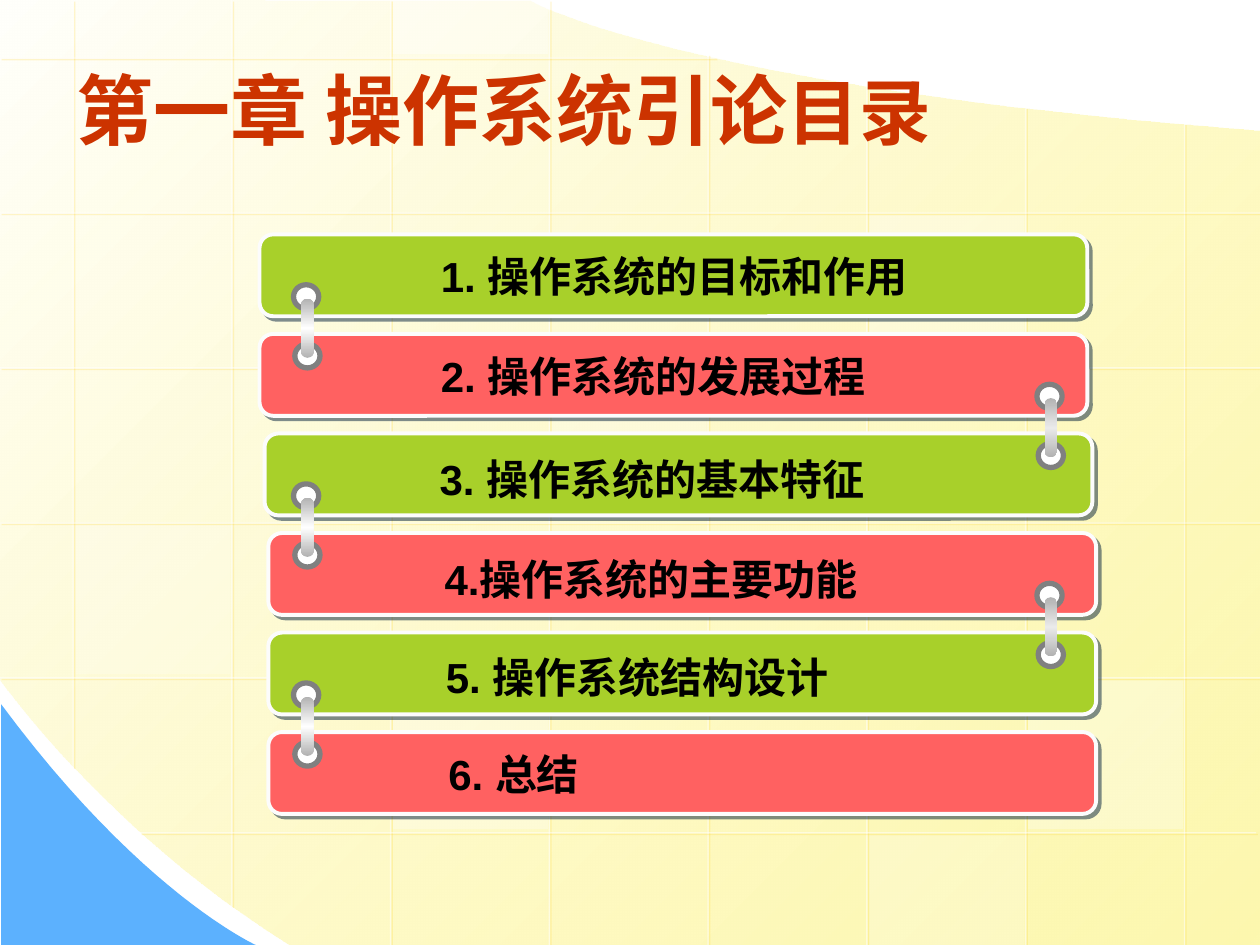
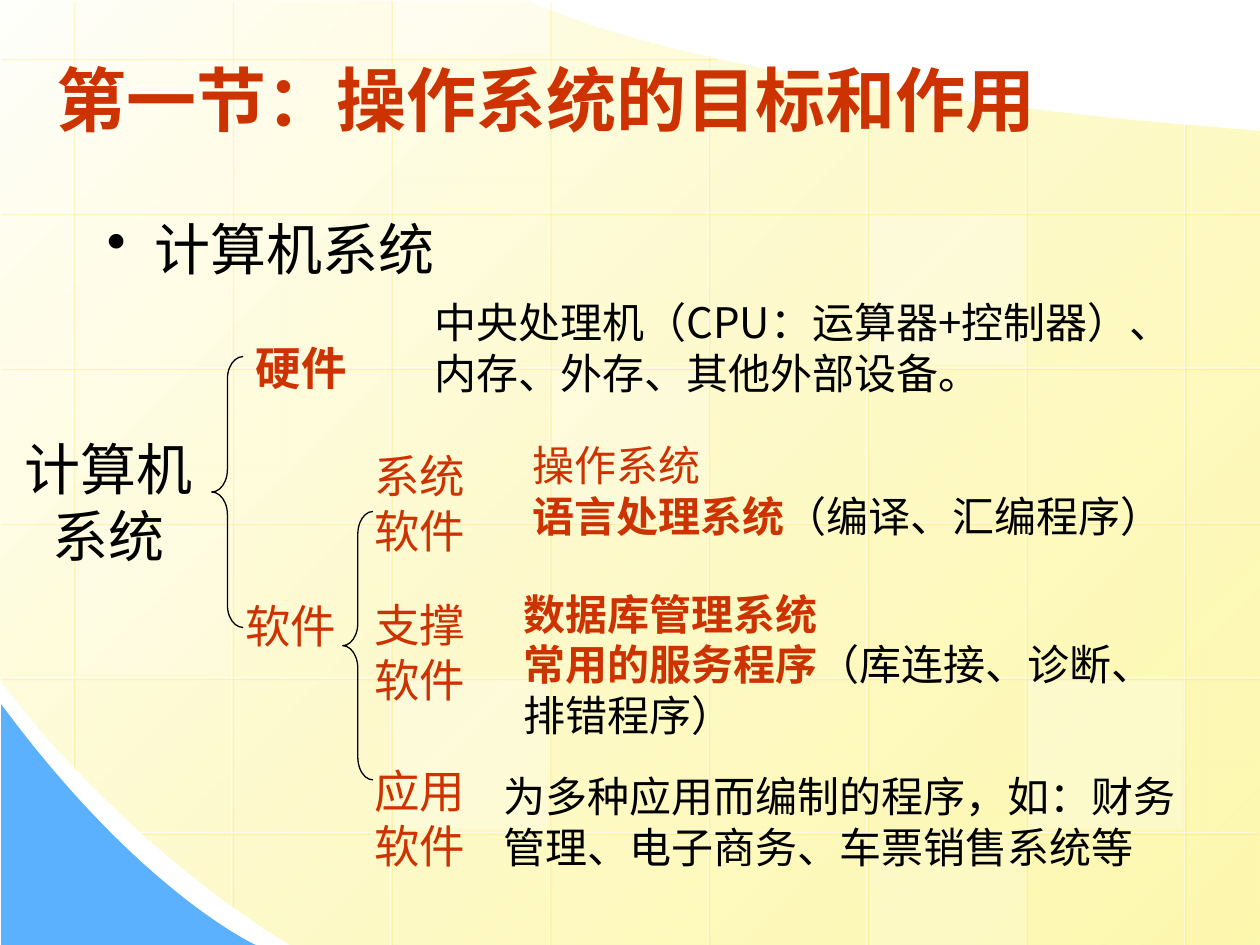
"""Builds two slides on the aims of operating systems over a shared yellow grid background."""
from lxml import etree
from pptx import Presentation
from pptx import util as u
from pptx.dml.color import RGBColor
from pptx.enum import shapes, text
from pptx.oxml.ns import qn

WIDTH, HEIGHT = 10, 7.5
WHITE = RGBColor(0xFF, 0xFF, 0xFF)
BLACK = RGBColor(0, 0, 0)
RED = RGBColor(0xCC, 0x33, 0x00)
BLUE = RGBColor(0x5C, 0xB1, 0xFE)
GREEN = RGBColor(0xA8, 0xD0, 0x2A)
CORAL = RGBColor(0xFF, 0x61, 0x61)
BAR_EDGE = RGBColor(0xFC, 0xFC, 0xFC)
NAVY = RGBColor(0x00, 0x1D, 0x3A)
GOLD = RGBColor(0xFF, 0xCC, 0x00)
GRAY = RGBColor(0x80, 0x80, 0x80)
SILVER = RGBColor(0xB2, 0xB2, 0xB2)
CREAM = RGBColor(0xFF, 0xFF, 0xFB)
YELLOW = RGBColor(0xFD, 0xF5, 0x8D)
ARIAL, TIMES, SANS = "Arial", "Times New Roman", "Noto Sans CJK SC"

PANEL = [(10, 1.04), (10, 7.5), (2.3, 7.5), [(0.86, 6.61), (0, 5.39), (0, 5.39)],
         (0, 0), (4.21, 0.01), [(4.21, 0.01), (5.37, 0.69), (10, 1.04)]]
CORNER = [(0.01, 5.59), (0.01, 7.5), (2.03, 7.5), [(2.03, 7.5), (1.12, 7.09), (0.01, 5.59)]]
CELL_WIDTH, CELL_HEIGHT = 1.26, 1.23
COLUMN_SPANS = [(0, 6.09), (0, 7.19), (0, 7.5), (0, 7.5),
                (0.43, 7.5), (0.68, 7.5), (0.85, 7.5), (0.98, 7.5)]
ROW_SPANS = [(0, 5.68), (0, 10), (0, 10), (0, 10), (0, 10), (1.11, 9.97)]
TILES = [(3, 2, 25), (6, 4, 30), (0, 3, 20), (5, 5, 20), (2, 0, 40), (2, 4, 30), (5, 1, 30)]

CONTENTS_TITLE = [[("第一章 操作系统引论", {}), ("目录", {"size": 41})]]
CONTENTS = [
    ("1. 操作系统的目标和作用", 2.06, 2.91, 0.08),
    ("2. 操作系统的发展过程", 2.06, 2.91, 0.08),
    ("3. 操作系统的基本特征", 2.1, 2.9, 0.11),
    ("4.操作系统的主要功能", 2.13, 2.94, 0.11),
    ("5. 操作系统结构设计", 2.13, 2.95, 0.1),
    ("6. 总结", 2.13, 2.97, 0.08),
]
BAR_TOP, BAR_PITCH = 1.86, 0.79
LINK_SIDES = [(2.33, WHITE), (8.23, RGBColor(0xEA, 0xEA, 0xEA))]

SECTION_TITLE = ["第一节：操作系统的目标和作用"]
PLAIN = {"color": BLACK, "bold": False}
STRONG = {"font": ARIAL, "bold": True}
SECTION_TEXTS = [
    ((3.35, 2.33, 6.5, 0.85), ["中央处理机（CPU：运算器+控制器）、", "内存、外存、其他外部设备。"],
     {"font": SANS, "anchor": text.MSO_ANCHOR.MIDDLE}),
    ((3.9, 6.07, 5.83, 0.9), ["为多种应用而编制的程序，如：财务管理、电子商务、车票销售系统等"],
     {"font": TIMES}),
    ((4.13, 3.44, 5.31, 0.9),
     ["操作系统", [("语言处理系统", STRONG), ("（编译、汇编程序）", PLAIN)]],
     {"font": TIMES, "color": RED}),
    ((4.06, 4.62, 5.31, 1.3),
     ["数据库管理系统", [("常用的服务程序", {}), ("（库连接、诊断、 排错程序）", PLAIN)]],
     {"color": RED, "bold": True}),
    ((0.75, 1.39, 6.18, 0.47), ["计算机系统"],
     {"size": 32, "leading": 1.8, "margin": 0.38, "indent": -0.38, "bullet": "•"}),
    ((0.04, 3.56, 1.65, 0.84), ["计算机", "系统"],
     {"size": 32, "anchor": text.MSO_ANCHOR.MIDDLE, "align": text.PP_ALIGN.CENTER}),
    ((1.85, 4.69, 1, 0.54), ["软件"],
     {"size": 26, "font": SANS, "color": RED, "anchor": text.MSO_ANCHOR.MIDDLE}),
    ((1.93, 2.65, 0.94, 0.53), ["硬件"],
     {"size": 26, "color": RED, "bold": True, "shadow": GRAY}),
]
SOFTWARE = [("系统软件", 3.51), ("支撑软件", 4.69), ("应用软件", 6.01)]
BRACES = [((1.68, 2.83, 0.25, 2.15), 0.71), ((2.72, 4.06, 0.24, 2.13), 0.75)]


def inches(values):
    return [u.Inches(value) for value in values]


def add_color(parent, color, alpha=100):
    node = etree.SubElement(parent, qn("a:srgbClr"), val=str(color))
    if alpha < 100:
        etree.SubElement(node, qn("a:alpha"), val=str(alpha * 1000))


def fade(shape, alpha):
    for node in shape.element.spPr.iter(qn("a:srgbClr")):
        etree.SubElement(node, qn("a:alpha"), val=str(alpha * 1000))


def fill_shadow(effects, color, alpha, distance):
    outer = etree.SubElement(effects, qn("a:outerShdw"), dist=str(u.Pt(distance)),
                             dir="2700000", algn="ctr", rotWithShape="0")
    add_color(outer, color, alpha)


def fill_gradient(shape, stops, angle):
    shape.fill.gradient()
    gradient = shape.element.spPr.find(qn("a:gradFill"))
    for child in list(gradient):
        gradient.remove(child)
    stop_list = etree.SubElement(gradient, qn("a:gsLst"))
    for position, color, alpha in stops:
        stop = etree.SubElement(stop_list, qn("a:gs"), pos=str(position * 1000))
        add_color(stop, color, alpha)
    etree.SubElement(gradient, qn("a:lin"), ang=str(angle * 60000), scaled="1")


def style(shape, fill=None, line=None, weight=0.75):
    shape.shadow.inherit = False
    for part, color in ((shape.fill, fill), (shape.line.fill, line)):
        if color is None:
            part.background()
        else:
            part.solid()
            part.fore_color.rgb = color
    if line is not None:
        shape.line.width = u.Pt(weight)


def add_preset(slide, kind, box, **look):
    shape = slide.shapes.add_shape(kind, *inches(box))
    style(shape, **look)
    return shape


def add_outline(slide, steps, fill=None, samples=24):
    points = []
    for step in steps:
        if isinstance(step, tuple):
            points.append(step)
            continue
        curve = [points[-1], *step]
        for index in range(1, samples + 1):
            t = index / samples
            weights = ((1 - t) ** 3, 3 * t * (1 - t) ** 2, 3 * t * t * (1 - t), t ** 3)
            points.append(tuple(sum(w * p[axis] for w, p in zip(weights, curve))
                                for axis in (0, 1)))
    builder = slide.shapes.build_freeform(*inches(points[0]))
    builder.add_line_segments([inches(point) for point in points[1:]], close=True)
    shape = builder.convert_to_shape()
    style(shape, fill)
    return shape


def add_grid_line(slide, *ends):
    line = slide.shapes.add_connector(shapes.MSO_CONNECTOR.STRAIGHT, *inches(ends))
    line.line.color.rgb = WHITE
    line.line.width = u.Pt(0.75)
    fade(line, 50)
    effects = etree.SubElement(line.element.spPr, qn("a:effectLst"))
    fill_shadow(effects, GOLD, 34, 1.4)


def write(frame, paragraphs, size=24, font=ARIAL, color=BLACK, bold=False, shadow=None,
          leading=1.2, anchor=text.MSO_ANCHOR.TOP, align=text.PP_ALIGN.LEFT,
          margin=0, indent=0, bullet=None):
    frame.word_wrap = True
    frame.auto_size = text.MSO_AUTO_SIZE.NONE
    frame.vertical_anchor = anchor
    for number, content in enumerate(paragraphs):
        paragraph = frame.add_paragraph() if number else frame.paragraphs[0]
        properties = paragraph._p.get_or_add_pPr()
        properties.set("marL", str(u.Inches(margin)))
        properties.set("indent", str(u.Inches(indent)))
        if bullet:
            etree.SubElement(properties, qn("a:buChar"), char=bullet)
        paragraph.alignment = align
        paragraph.line_spacing = u.Pt(size * leading)
        for words, changes in [(content, {})] if isinstance(content, str) else content:
            look = {"size": size, "font": font, "color": color, "bold": bold, **changes}
            run = paragraph.add_run()
            run.text = words
            run.font.size = u.Pt(look["size"])
            run.font.bold = look["bold"]
            run.font.color.rgb = look["color"]
            run.font.name = look["font"]
            run_properties = run._r.get_or_add_rPr()
            etree.SubElement(run_properties, qn("a:ea"), typeface=SANS)
            if shadow is not None:
                effects = etree.Element(qn("a:effectLst"))
                run_properties.find(qn("a:solidFill")).addnext(effects)
                fill_shadow(effects, shadow, 100, 2)


def add_text(slide, box, paragraphs, **look):
    write(slide.shapes.add_textbox(*inches(box)).text_frame, paragraphs, **look)


def set_title(slide, box, paragraphs, size):
    title = slide.shapes.title
    title.left, title.top, title.width, title.height = inches(box)
    write(title.text_frame, paragraphs, size=size, color=RED, bold=True, shadow=WHITE,
          anchor=text.MSO_ANCHOR.MIDDLE)


def move_background_to_layout(slide, layout):
    panel = add_outline(slide, PANEL)
    fill_gradient(panel, [(0, CREAM, 100), (100, YELLOW, 70)], 45)
    add_outline(slide, CORNER, BLUE)
    for column, (top, bottom) in enumerate(COLUMN_SPANS):
        x = 0.58 + column * CELL_WIDTH
        add_grid_line(slide, x, top, x, bottom)
    for row, (left, right) in enumerate(ROW_SPANS):
        y = 0.46 + row * CELL_HEIGHT
        add_grid_line(slide, right, y, left, y)
    for column, row, alpha in TILES:
        top = 0.48 + (row - 1) * CELL_HEIGHT if row < 1 else 1.71 + (row - 1) * CELL_HEIGHT
        bottom = min(HEIGHT, top + 1.18)
        top = max(0, top)
        tile = add_preset(slide, shapes.MSO_SHAPE.RECTANGLE,
                          (0.6 + column * CELL_WIDTH, top, 1.23, bottom - top), fill=WHITE)
        fade(tile, alpha)
    for shape in list(slide.shapes):
        if not shape.is_placeholder:
            layout.shapes.element.append(shape.element)


def add_link(slide, left, top, shine):
    for x, y in ((left, top), (left + 0.01, top + 0.47)):
        add_preset(slide, shapes.MSO_SHAPE.OVAL, (x, y, 0.2, 0.19),
                   fill=WHITE, line=GRAY, weight=3)
    pin = add_preset(slide, shapes.MSO_SHAPE.ROUNDED_RECTANGLE,
                     (left + 0.06, top + 0.11, 0.1, 0.47))
    pin.adjustments[0] = 0.5
    fill_gradient(pin, [(0, SILVER, 100), (50, shine, 100), (100, SILVER, 100)], 90)


def build_contents(slide):
    set_title(slide, (0.51, 0.36, 9, 1.01), CONTENTS_TITLE, 44)
    for index, (words, left, text_left, drop) in enumerate(CONTENTS):
        top = BAR_TOP + index * BAR_PITCH
        bar = add_preset(slide, shapes.MSO_SHAPE.ROUNDED_RECTANGLE, (left, top, 6.57, 0.65),
                         fill=(GREEN, CORAL)[index % 2], line=BAR_EDGE, weight=2.25)
        fill_shadow(bar.element.spPr.find(qn("a:effectLst")), NAVY, 50, 2.8)
        add_text(slide, (text_left, top + drop, 4.93, 0.5), [words], bold=True,
                 shadow=GRAY, margin=0.5, indent=-0.01)
    for index in range(len(CONTENTS) - 1):
        left, shine = LINK_SIDES[index % 2]
        add_link(slide, left, BAR_TOP + 0.4 + index * BAR_PITCH, shine)


def build_section(slide):
    set_title(slide, (0.35, 0.28, 9, 1.01), SECTION_TITLE, 40)
    for box, paragraphs, look in SECTION_TEXTS:
        add_text(slide, box, paragraphs, **look)
    for words, top in SOFTWARE:
        add_text(slide, (2.87, top, 1.02, 0.97), [words], size=26, font=TIMES, color=RED)
    for box, curl in BRACES:
        brace = add_preset(slide, shapes.MSO_SHAPE.LEFT_BRACE, box, line=BLACK)
        brace.adjustments[0] = curl
        brace.adjustments[1] = 0.5


def main():
    presentation = Presentation()
    presentation.slide_width, presentation.slide_height = inches((WIDTH, HEIGHT))
    layout = presentation.slide_layouts[5]
    contents = presentation.slides.add_slide(layout)
    move_background_to_layout(contents, layout)
    build_contents(contents)
    build_section(presentation.slides.add_slide(layout))
    presentation.save("out.pptx")


if __name__ == "__main__":
    main()
